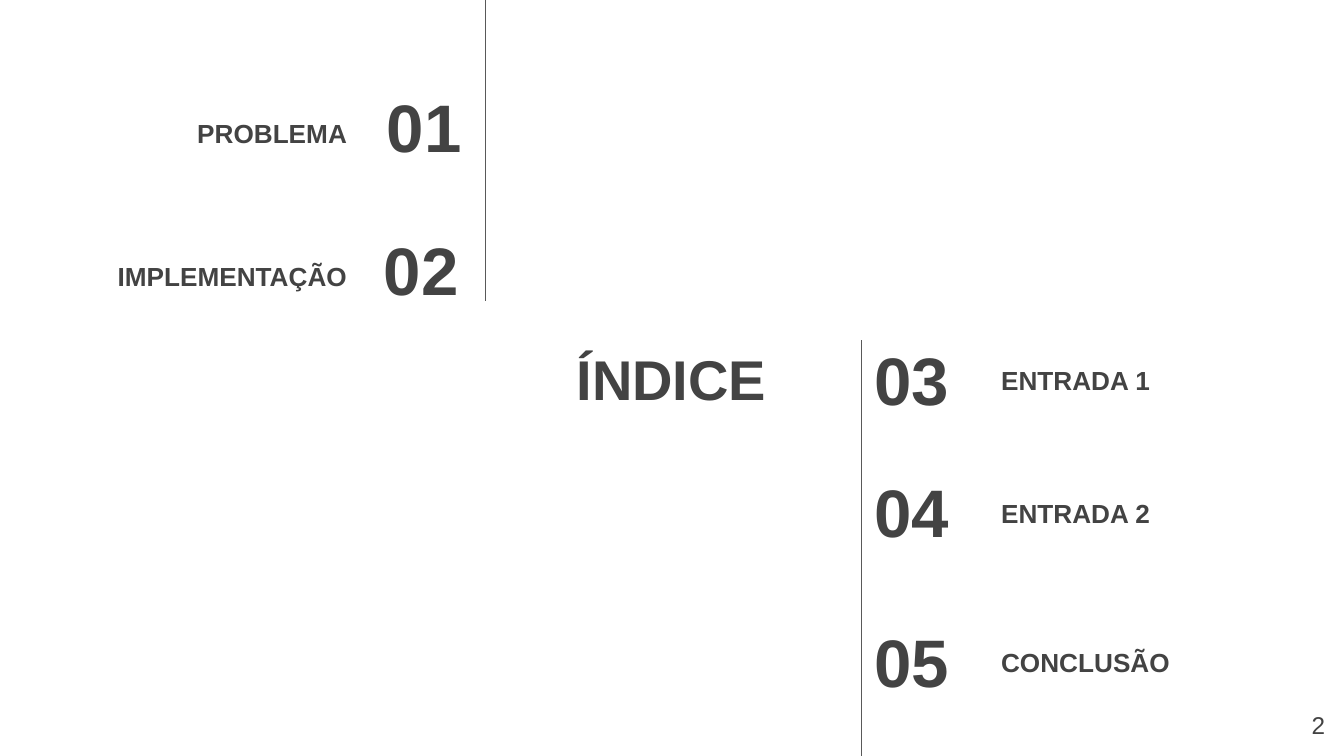
from lxml import etree
from pptx import Presentation
from pptx import util as u
from pptx.dml.color import RGBColor
from pptx.enum import shapes, text
from pptx.oxml import ns

INK = RGBColor(0x43, 0x43, 0x43)
RULE = RGBColor(0x59, 0x59, 0x59)
WHITE = RGBColor(0xFF, 0xFF, 0xFF)
LEFT, MID, RIGHT = text.PP_ALIGN.LEFT, text.PP_ALIGN.CENTER, text.PP_ALIGN.RIGHT
TOP, CORE, BASE = text.MSO_ANCHOR.TOP, text.MSO_ANCHOR.MIDDLE, text.MSO_ANCHOR.BOTTOM


class Page:
    font = "Arial"
    inset = u.Cm(0.25)

    def __init__(self, slide):
        self.slide = slide
        fill = slide.background.fill
        fill.solid()
        fill.fore_color.rgb = WHITE

    def label(self, words, x, y, w, h, size, align=LEFT, anchor=CORE, bold=True):
        box = self.slide.shapes.add_textbox(u.Cm(x), u.Cm(y), u.Cm(w), u.Cm(h))
        frame = box.text_frame
        frame.text = words
        frame.word_wrap = True
        frame.vertical_anchor = anchor
        frame.margin_left = frame.margin_right = self.inset
        frame.margin_top = frame.margin_bottom = self.inset
        para = frame.paragraphs[0]
        para.alignment = align
        font = para.runs[0].font
        font.name, font.size, font.bold = self.font, u.Pt(size), bold
        font.color.rgb = INK

    def rule(self, x, top, end):
        line = self.slide.shapes.add_connector(
            shapes.MSO_CONNECTOR.STRAIGHT, u.Cm(x), u.Cm(top), u.Cm(x), u.Cm(end))
        line.line.color.rgb = RULE
        line.line.width = u.Pt(0.75)
        etree.SubElement(line._element.spPr, ns.qn("a:effectLst"))

    def entry(self, num, name, num_x, name_x, y, drop, align):
        self.label(num, num_x, y, 3.02, 1.6, 36, align)
        self.label(name, name_x, y + drop, 5.49, 1.14, 14, align, BASE)


def main():
    deck = Presentation()
    deck.slide_width, deck.slide_height = u.Cm(25.4), u.Cm(14.29)
    page = Page(deck.slides.add_slide(deck.slide_layouts[6]))

    # Title
    page.label("ÍNDICE", 9.4, 5.84, 6.58, 2.62, 30, MID)

    # Entries left of the upper rule
    page.rule(9.17, 0, 5.69)
    for num, name, x, y in (("01", "PROBLEMA", 5.95, 1.57),
                            ("02", "IMPLEMENTAÇÃO", 5.9, 4.28)):
        page.entry(num, name, x, 1.32, y, 0.35, RIGHT)

    # Entries right of the lower rule
    page.rule(16.28, 6.43, 14.33)
    for num, name, y in (("03", "ENTRADA 1", 6.35),
                         ("04", "ENTRADA 2", 8.86),
                         ("05", "CONCLUSÃO", 11.69)):
        page.entry(num, name, 16.28, 18.67, y, 0.24, LEFT)

    # Page number
    page.label("2", 23.77, 13.18, 1.52, 1.09, 13, RIGHT, TOP, False)

    deck.save("out.pptx")


if __name__ == "__main__":
    main()
